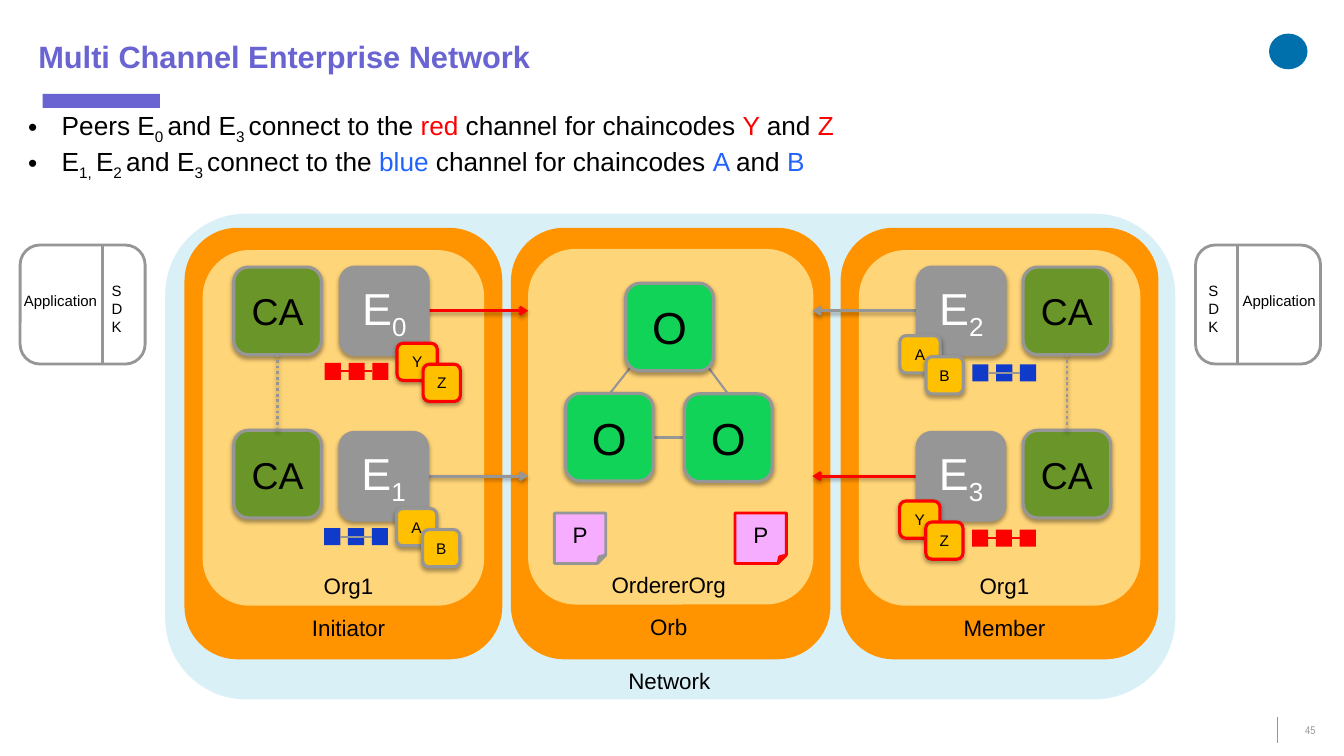
from lxml.etree import SubElement
from pptx import Presentation
from pptx.dml.color import RGBColor
from pptx.enum.dml import MSO_LINE
from pptx.enum.shapes import MSO_CONNECTOR, MSO_SHAPE
from pptx.enum.text import MSO_ANCHOR, PP_ALIGN
from pptx.oxml.ns import qn
from pptx.util import Pt

BLACK = RGBColor(0x00, 0x00, 0x00)
WHITE = RGBColor(0xFF, 0xFF, 0xFF)
GRAY = RGBColor(0x96, 0x96, 0x96)
RED = RGBColor(0xFF, 0x00, 0x00)
BLUE = RGBColor(0x10, 0x3A, 0xC9)
TEXT_BLUE = RGBColor(0x21, 0x63, 0xFF)
PURPLE = RGBColor(0x69, 0x64, 0xD1)
PALE_BLUE = RGBColor(0xD9, 0xF0, 0xF7)
ORANGE = RGBColor(0xFF, 0x93, 0x00)
SAND = RGBColor(0xFF, 0xD5, 0x79)
OLIVE = RGBColor(0x6A, 0x95, 0x29)
GREEN = RGBColor(0x11, 0xD3, 0x58)
AMBER = RGBColor(0xFF, 0xC0, 0x00)
PINK = RGBColor(0xF7, 0xAD, 0xFF)
LOGO_BLUE = RGBColor(0x00, 0x70, 0xAD)
RECT, ROUND = MSO_SHAPE.RECTANGLE, MSO_SHAPE.ROUNDED_RECTANGLE
SHADOW = {"blurRad": "39000", "dist": "23000", "dir": "5400000", "rotWithShape": "0"}

prs = Presentation()
prs.slide_width, prs.slide_height = Pt(960), Pt(540)
s = prs.slides.add_slide(prs.slide_layouts[6])


def box(kind, x, y, w, h, paras=(), fill=None, line=None, width=2.25, shadow=False,
        size=16, font="Arial", bold=False, align=PP_ALIGN.CENTER, bullet=False):
    """Add a shape, or a text box if kind is None; a run is (text, colour, subscript)."""
    if kind is None:
        sp = s.shapes.add_textbox(Pt(x), Pt(y), Pt(w), Pt(h))
    else:
        sp = s.shapes.add_shape(kind, Pt(x), Pt(y), Pt(w), Pt(h))
        sp.shadow.inherit = False
        if fill is None:
            sp.fill.background()
        else:
            sp.fill.solid()
            sp.fill.fore_color.rgb = fill
        if line is None:
            sp.line.fill.background()
        else:
            sp.line.color.rgb = line
            sp.line.width = Pt(width)
        if shadow:
            effects = sp._element.spPr.find(qn("a:effectLst"))
            color = SubElement(SubElement(effects, qn("a:outerShdw"), SHADOW), qn("a:srgbClr"), val="000000")
            SubElement(color, qn("a:alpha"), val="35000")
    tf = sp.text_frame
    tf.word_wrap = True
    tf.vertical_anchor = MSO_ANCHOR.TOP if kind is None else MSO_ANCHOR.MIDDLE
    for i, runs in enumerate(paras):
        p = tf.paragraphs[0] if i == 0 else tf.add_paragraph()
        p.alignment = align
        if bullet:
            pPr = p._p.get_or_add_pPr()
            pPr.set("marL", str(Pt(24)))
            pPr.set("indent", str(-Pt(24)))
            SubElement(pPr, qn("a:buFont"), typeface="Arial")
            SubElement(pPr, qn("a:buChar"), char="•")
        for text, color, *sub in runs:
            r = p.add_run()
            r.text = text
            r.font.name, r.font.size, r.font.bold = font, Pt(size), bold
            r.font.color.rgb = color
            if sub:
                r._r.get_or_add_rPr().set("baseline", "-25000")
    return sp


def link(x1, y1, x2, y2, color=GRAY, width=1.5, arrow=False, dotted=False):
    """Add a straight line; arrows and dotted lines carry a shadow."""
    cn = s.shapes.add_connector(MSO_CONNECTOR.STRAIGHT, Pt(x1), Pt(y1), Pt(x2), Pt(y2))
    cn.line.color.rgb = color
    cn.line.width = Pt(width)
    if dotted:
        cn.line.dash_style = MSO_LINE.ROUND_DOT
    if arrow:
        SubElement(cn.line._get_or_add_ln(), qn("a:tailEnd"), type="arrow")
    effects = SubElement(cn._element.spPr, qn("a:effectLst"))
    if arrow or dotted:
        shade = SubElement(SubElement(effects, qn("a:outerShdw"), SHADOW), qn("a:srgbClr"), val="000000")
        SubElement(shade, qn("a:alpha"), val="38000")


# Page furniture
link(912.2, 512, 912.2, 530.6, width=0.75)
sp = box(None, 912.2, 512, 47.5, 19.4, [[("45", GRAY)]], size=8, font="Arial Narrow")
sp.text_frame.vertical_anchor = MSO_ANCHOR.MIDDLE
box(RECT, 30.5, 67, 83.8, 10, fill=PURPLE)
box(MSO_SHAPE.OVAL, 906.5, 24, 27.5, 25.5, fill=LOGO_BLUE)

# Title
sp = box(None, 27.4, 26.6, 815, 27, [[("Multi Channel Enterprise Network", PURPLE)]],
         size=22, bold=True, align=PP_ALIGN.LEFT)
tf = sp.text_frame
tf.margin_left = tf.margin_right = tf.margin_top = tf.margin_bottom = 0

# Channel summary
box(None, 13, 74.9, 644.4, 52.6, [
    [("Peers E", BLACK), ("0 ", BLACK, True), ("and E", BLACK), ("3 ", BLACK, True),
     ("connect to the ", BLACK), ("red", RED), (" channel for chaincodes ", BLACK),
     ("Y ", RED), ("and ", BLACK), ("Z", RED)],
    [("E", BLACK), ("1, ", BLACK, True), ("E", BLACK), ("2 ", BLACK, True), ("and E", BLACK),
     ("3 ", BLACK, True), ("connect to the ", BLACK), ("blue ", TEXT_BLUE),
     ("channel for chaincodes ", BLACK), ("A ", TEXT_BLUE), ("and ", BLACK), ("B", TEXT_BLUE)],
], size=18.7, align=PP_ALIGN.LEFT, bullet=True)

# Network and its organisations
box(ROUND, 118, 152.6, 721.5, 347, fill=PALE_BLUE)
box(None, 360, 473, 236.2, 26.6, [[("Network", BLACK)]])
for x, w, inner_w, inner_y, org, owner, mid in (
        (131.8, 227, 201, 178.6, "Org1", "Initiator", 249),
        (365, 228.2, 203.8, 177.8, "OrdererOrg", "Orb", 477.7),
        (600.5, 227, 201, 178.6, "Org1", "Member", 717.5)):
    box(ROUND, x, 162.7, w, 308.2, fill=ORANGE)
    box(ROUND, x + (w - inner_w) / 2, inner_y, inner_w, 254, fill=SAND)
    box(None, mid - 79, inner_y + 226.5, 158, 26.6, [[(org, BLACK)]])
    box(None, mid - 118, inner_y + 256.8, 236, 26.6, [[(owner, BLACK)]])

# Certificate authorities
for x in (167, 730.8):
    for y in (190.8, 307.4):
        box(ROUND, x, y, 62.6, 62.6, [[("CA", BLACK)]], OLIVE, GRAY, shadow=True, size=26.7)
    link(x + 31.3, 307.4, x + 31.3, 253.4, width=2, dotted=True)

# Peers, each with its channel arrow, ledger and chaincodes
for number, x, y, arrow_color, on_red in (
        ("0", 243.2, 190.8, RED, True), ("1", 242.8, 308.9, GRAY, False),
        ("2", 655.4, 190.8, GRAY, False), ("3", 655.2, 308.9, RED, True)):
    left = x < 480
    start, end = (306, 377.3) if left else (655.2, 580.3)
    link(start, y + 31.2, end, y + 31.2, arrow_color, 2, arrow=True)
    ledger_x, ledger_y = (x - 11.2, y + 68.4) if left else (x + 39.2, y + 69.5)
    for i in range(3):
        box(RECT, ledger_x + 17 * i, ledger_y, 11.5, 12.2, fill=RED if on_red else BLUE)
    edge = RED if on_red else GRAY
    link(ledger_x + 11.5, ledger_y + 6, ledger_x + 34, ledger_y + 6, edge)
    box(ROUND, x, y, 62.6, 62.6, [[("E", WHITE), (number, WHITE, True)]],
        GRAY, GRAY, shadow=True, size=32)
    code_x, code_y = (x + 40.4, y + 54.4) if left else (x - 12.6, y + 49)
    first, second = "YZ" if on_red else "AB"
    box(ROUND, code_x, code_y, 28.8, 26.6, [[(first, BLACK)]], AMBER, edge, shadow=True, size=11)
    box(ROUND, code_x + 18.7, code_y + 15, 26.6, 26.6, [[(second, BLACK)]],
        AMBER, edge, shadow=True, size=11)

# Orderers
link(466.6, 312.5, 489, 312.5)
link(450, 262.8, 435.6, 281)
link(506.2, 262.8, 519.8, 281)
for x, y in ((404, 281), (447, 202.3), (489, 281.3)):
    box(ROUND, x, y, 62.6, 62.6, [[("O", BLACK)]], GREEN, GRAY, shadow=True, size=32)

# Policies
for x, color in ((396, GRAY), (525, RED)):
    box(MSO_SHAPE.FOLDED_CORNER, x, 366.5, 36.7, 36, [[("P", BLACK)]], PINK, color, 2)

# Client applications
for x, divider, app_x, sdk_x in ((14.4, 73.4, 4.3, 72.7), (854, 884.2, 874.8, 856)):
    box(ROUND, x, 175, 89.3, 85, line=GRAY, width=2)
    link(divider, 175, divider, 260, width=2.25)
    box(None, app_x, 204.5, 77.8, 20, [[("Application", BLACK)]], size=10.7)
    box(None, sdk_x, 197.3, 28, 46, [[("SDK", BLACK)]], size=10.7, align=PP_ALIGN.LEFT)

prs.save("out.pptx")
